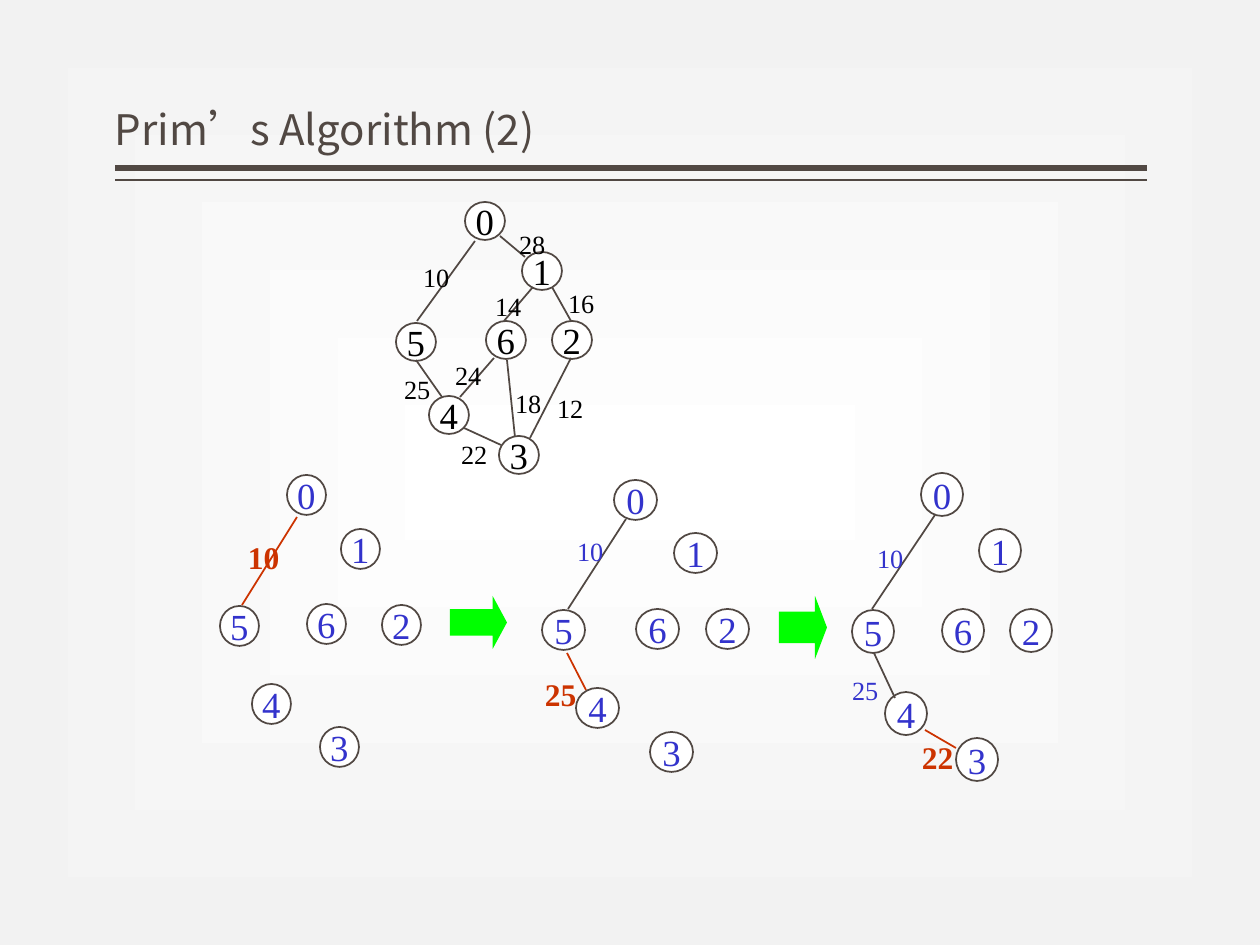
import pptx
import pptx.util
import pptx.dml.color
import pptx.enum.shapes
import pptx.enum.text
import pptx.oxml
import pptx.oxml.ns
import lxml.etree

RGBColor = pptx.dml.color.RGBColor
BROWN = RGBColor(0x51, 0x48, 0x43)
WHITE = RGBColor(0xFF, 0xFF, 0xFF)
BLACK = RGBColor(0, 0, 0)
BLUE = RGBColor(0x33, 0x33, 0xCC)
RED = RGBColor(0xCC, 0x33, 0x00)
GREEN = RGBColor(0, 0xFF, 0)
PALE = RGBColor(0xF2, 0xF2, 0xF2)
SERIF = "Times New Roman"
SANS = "Noto Sans CJK SC"
SCALE = 914400 / 126
SHAPES = pptx.enum.shapes.MSO_SHAPE
ALIGN = pptx.enum.text.PP_ALIGN
ANCHOR = pptx.enum.text.MSO_ANCHOR
qn = pptx.oxml.ns.qn

BACKGROUND = f"""<p:bg {pptx.oxml.ns.nsdecls("p", "a")}><p:bgPr>
<a:gradFill rotWithShape="1"><a:gsLst>
<a:gs pos="0"><a:srgbClr val="{WHITE}"/></a:gs>
<a:gs pos="100000"><a:srgbClr val="{PALE}"/></a:gs>
</a:gsLst><a:path path="rect"><a:fillToRect l="5000" t="5000" r="5000" b="5000"/></a:path>
</a:gradFill><a:effectLst/></p:bgPr></p:bg>"""

GRAPH_NODES = [(69, 0), (126, 50), (156, 119), (103, 234), (33, 194), (0, 121), (90, 119)]
GRAPH_EDGES = [
    ((79, 39, 21, 119), "10", (17, 54), False),
    ((104, 34, 129, 55), "28", (113, 21), False),
    ((156, 85, 175, 119), "16", (162, 80), False),
    ((137, 85, 108, 119), "14", (89, 83), False),
    ((175, 156, 134, 236), "12", (151, 185), False),
    ((111, 158, 119, 235), "18", (109, 180), False),
    ((98, 156, 64, 195), "24", (49, 152), False),
    ((20, 158, 46, 195), "25", (-2, 166), False),
    ((68, 226, 105, 243), "22", (55, 231), False),
]
STEPS = [
    ((220, 475), (39, 40),
     [(67, 0), (121, 54), (162, 130), (100, 252), (32, 209), (0, 131), (87, 129)],
     [((77, 42, 22, 130), "10", (18, 58), True)]),
    ((542, 480), (43, 40),
     [(72, 0), (132, 53), (164, 129), (108, 252), (34, 208), (0, 130), (94, 129)],
     [((84, 39, 26, 129), "10", (25, 50), False),
      ((25, 173, 44, 210), "25", (-7, 190), True)]),
    ((852, 473), (42, 43),
     [(69, 0), (127, 56), (158, 136), (104, 265), (33, 219), (0, 137), (90, 136)],
     [((83, 42, 20, 136), "10", (15, 64), False),
      ((22, 180, 43, 225), "25", (-10, 196), False),
      ((73, 257, 104, 275), "22", (60, 260), True)]),
]


def px(*lengths):
    return [pptx.util.Emu(round(length * SCALE)) for length in lengths]


def set_frame(frame, insets, wrap):
    frame.margin_left, frame.margin_top, frame.margin_right, frame.margin_bottom = px(*insets)
    frame.word_wrap = wrap


def set_font(para, name, size, color, bold=False):
    para.font.name = name
    para.font.size = pptx.util.Pt(size)
    para.font.color.rgb = color
    para.font.bold = bold


def add_line(page, ends, color, width=1):
    line = page.shapes.add_connector(pptx.enum.shapes.MSO_CONNECTOR.STRAIGHT, *px(*ends))
    line.line.color.rgb = color
    line.line.width = pptx.util.Pt(width)
    properties = line._element.find(qn("p:spPr"))
    lxml.etree.SubElement(properties, qn("a:effectLst"))


def add_node(page, box, label, color):
    node = page.shapes.add_shape(SHAPES.OVAL, *px(*box))
    node.shadow.inherit = False
    node.fill.solid()
    node.fill.fore_color.rgb = WHITE
    node.line.color.rgb = BROWN
    node.line.width = pptx.util.Pt(1)
    frame = node.text_frame
    set_frame(frame, (10, 5, 10, 5), False)
    frame.vertical_anchor = ANCHOR.MIDDLE
    para = frame.paragraphs[0]
    para.text = label
    para.alignment = ALIGN.CENTER
    set_font(para, SERIF, 21, color)


def add_weight(page, left, top, weight, color, added):
    width, height, size = (51, 48, 18) if added else (45, 42, 15)
    label = page.shapes.add_textbox(*px(left, top, width, height))
    frame = label.text_frame
    set_frame(frame, (10, 5, 4, 5), False)
    para = frame.paragraphs[0]
    para.text = weight
    para.alignment = ALIGN.LEFT
    set_font(para, SERIF, size, RED if added else color, added)


def add_graph(page, origin, node_size, nodes, edges, color):
    left, top = origin
    for number, (x, y) in enumerate(nodes):
        add_node(page, (left + x, top + y, *node_size), str(number), color)
    for (x1, y1, x2, y2), weight, (x, y), added in edges:
        ends = (left + x1, top + y1, left + x2, top + y2)
        add_line(page, ends, RED if added else BROWN)
        add_weight(page, left + x, top + y, weight, color, added)


def add_arrow(page, box, head):
    arrow = page.shapes.add_shape(SHAPES.RIGHT_ARROW, *px(*box))
    arrow.adjustments[0] = 0.5
    arrow.adjustments[1] = head
    arrow.shadow.inherit = False
    arrow.fill.solid()
    arrow.fill.fore_color.rgb = GREEN
    arrow.line.fill.background()


def add_title(page, box, text):
    left, top, width, height = box
    title = page.shapes.title
    title.left, title.top, title.width, title.height = px(*box)
    frame = title.text_frame
    set_frame(frame, (0, 6, 0, 6), True)
    frame.vertical_anchor = ANCHOR.BOTTOM
    para = frame.paragraphs[0]
    para.text = text
    para.alignment = ALIGN.LEFT
    para.line_spacing = 0.9
    set_font(para, SANS, 24, BROWN)
    defaults = para._p.pPr.find(qn("a:defRPr"))
    lxml.etree.SubElement(defaults, qn("a:ea")).set("typeface", SANS)
    for gap, weight in ((7, 3), (19, 1)):
        y = top + height + gap
        add_line(page, (left + width, y, left, y), BROWN, weight)


def main():
    deck = pptx.Presentation()
    deck.slide_width, deck.slide_height = px(1260, 945)
    page = deck.slides.add_slide(deck.slide_layouts[5])
    page.element.find(qn("p:cSld")).insert(0, pptx.oxml.parse_xml(BACKGROUND))
    add_title(page, (115, 11, 1032, 150), "Prim’s Algorithm (2)")
    for step in STEPS:
        add_graph(page, *step, BLUE)
    add_graph(page, (396, 202), (40, 38), GRAPH_NODES, GRAPH_EDGES, BLACK)
    add_arrow(page, (450, 596, 57, 53), 0.27)
    add_arrow(page, (779, 596, 48, 63), 0.25)
    deck.save("out.pptx")


if __name__ == "__main__":
    main()
